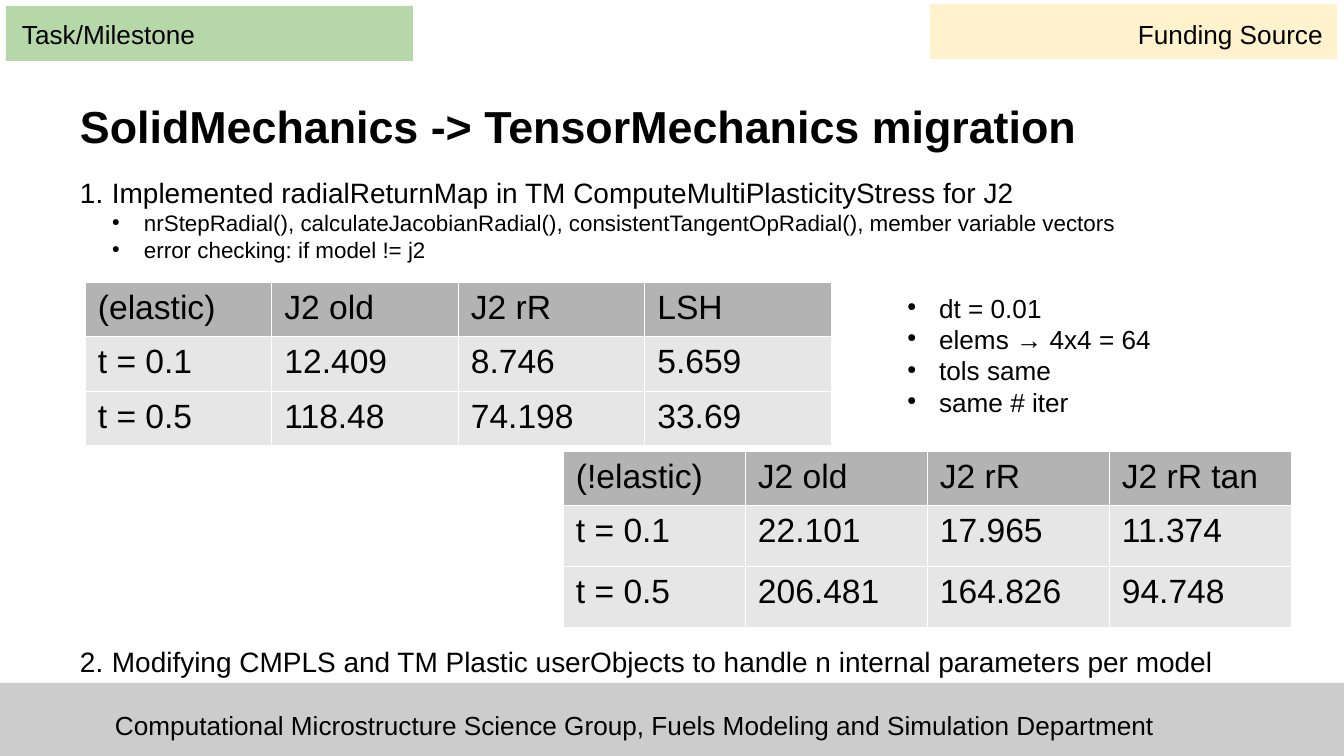
from dataclasses import dataclass

from lxml.etree import SubElement
from pptx import Presentation
from pptx.dml.color import RGBColor
from pptx.enum.shapes import MSO_SHAPE as SHAPE
from pptx.enum.text import MSO_ANCHOR as ANCHOR, PP_ALIGN as ALIGN
from pptx.oxml.ns import qn
from pptx.util import Pt

PX = 914400 / 134.4  # EMU in one px
INSET, HALF_INSET, INDENT = 13, 7, 32


@dataclass(frozen=True)
class Theme:
    font: str = "Arial"
    ink: str = "000000"
    bar: str = "CCCCCC"
    task: str = "B6D7A8"
    funding: str = "FFF2CC"
    head: str = "B3B3B3"
    cell: str = "E6E6E6"
    rule: str = "FFFFFF"
    title: int = 24
    table: int = 18
    item: int = 15
    label: int = 14
    detail: int = 12


T = Theme()


def emu(px):
    return round(px * PX)


def set_attrs(obj, attrs):
    for name, value in attrs.items():
        setattr(obj, name, value)


def add_rect(slide, box, fill):
    s = slide.shapes.add_shape(SHAPE.RECTANGLE, *map(emu, box))
    s.shadow.inherit = False
    s.fill.solid()
    s.fill.fore_color.rgb = RGBColor.from_string(fill)
    s.line.fill.background()


def add_frame(slide, box, anchor=ANCHOR.TOP, pad=INSET):
    tf = slide.shapes.add_textbox(*map(emu, box)).text_frame
    set_attrs(tf, dict(word_wrap=True, vertical_anchor=anchor,
                       margin_left=emu(INSET), margin_right=emu(INSET),
                       margin_top=emu(pad), margin_bottom=emu(pad)))
    return tf


def write(p, text, size, bold=False):
    r = p.add_run()
    r.text = text
    set_attrs(r.font, dict(name=T.font, size=Pt(size), bold=bold))
    r.font.color.rgb = RGBColor.from_string(T.ink)


def add_line(slide, box, text, size, anchor=ANCHOR.MIDDLE, align=ALIGN.LEFT, bold=False):
    p = add_frame(slide, box, anchor).paragraphs[0]
    p.alignment = align
    write(p, text, size, bold)


def add_list(tf, items):
    """Items are (text, size, level, number or None for a dot, space before)."""
    for i, (text, size, level, number, gap) in enumerate(items):
        p = tf.paragraphs[0] if i == 0 else tf.add_paragraph()
        set_attrs(p, dict(level=level, space_before=Pt(gap)))
        pPr = p._p.get_or_add_pPr()
        pPr.set("marL", str(emu(INDENT * (level + 1))))
        pPr.set("indent", str(-emu(INDENT)))
        color = SubElement(pPr, qn("a:buClr"))
        SubElement(color, qn("a:srgbClr"), val=T.ink)
        if number:
            SubElement(pPr, qn("a:buAutoNum"), type="arabicPeriod", startAt=str(number))
        else:
            SubElement(pPr, qn("a:buSzPct"), val="45000")
            SubElement(pPr, qn("a:buChar"), char="●")
        write(p, text, size)


def add_footer(slide, box):
    x, y, w, h = box
    add_rect(slide, box, T.bar)
    add_line(slide, (x + 103, y + 25, w - 110, 35),
             "Computational Microstructure Science Group, "
             "Fuels Modeling and Simulation Department", T.label)


def add_tag(slide, box, text, fill, text_dy, align):
    x, y, w, h = box
    add_rect(slide, box, fill)
    add_line(slide, (x + 3, y + text_dy, w - 4, h - 3), text, T.label, align=align)


def add_work_items(slide, box):
    add_list(add_frame(slide, box), [
        ("Implemented radialReturnMap in TM ComputeMultiPlasticityStress for J2",
         T.item, 0, 1, 0),
        ("nrStepRadial(), calculateJacobianRadial(), consistentTangentOpRadial(), "
         "member variable vectors", T.detail, 1, None, 0),
        ("error checking: if model != j2", T.detail, 1, None, 0),
        # The gap leaves room for the two tables
        ("Modifying CMPLS and TM Plastic userObjects to handle n internal "
         "parameters per model", T.item, 0, 2, 204),
    ])


def add_settings(slide, box):
    texts = ("dt = 0.01", "elems → 4x4 = 64", "tols same", "same # iter")
    add_list(add_frame(slide, box, pad=HALF_INSET),
             [(text, T.label, 0, None, 0) for text in texts])


def add_borders(cell):
    tcPr = cell._tc.get_or_add_tcPr()
    for i, side in enumerate(("lnL", "lnR", "lnT", "lnB")):
        ln = tcPr.makeelement(qn(f"a:{side}"), {"w": "762"})
        fill = SubElement(ln, qn("a:solidFill"))
        SubElement(fill, qn("a:srgbClr"), val=T.rule)
        tcPr.insert(i, ln)


def add_timings(slide, box, head_h, rows):
    x, y, w, h = box
    table = slide.shapes.add_table(len(rows), len(rows[0]), *map(emu, box)).table
    for col in table.columns:
        col.width = emu(w / len(rows[0]))
    for i, values in enumerate(rows):
        table.rows[i].height = emu(head_h if i == 0 else (h - head_h) / (len(rows) - 1))
        for j, text in enumerate(values):
            cell = table.cell(i, j)
            set_attrs(cell, dict(margin_left=emu(INSET), margin_right=emu(INSET),
                                 margin_top=emu(HALF_INSET), margin_bottom=emu(HALF_INSET)))
            cell.fill.solid()
            cell.fill.fore_color.rgb = RGBColor.from_string(T.cell if i else T.head)
            add_borders(cell)
            write(cell.text_frame.paragraphs[0], text, T.table)


def main():
    prs = Presentation()
    set_attrs(prs, dict(slide_width=emu(1344), slide_height=emu(756)))
    slide = prs.slides.add_slide(prs.slide_layouts[6])

    # Footer and corner tags
    add_footer(slide, (-1, 683, 1345, 74))
    add_tag(slide, (6, 6, 407, 55), "Task/Milestone", T.task, 2, ALIGN.LEFT)
    add_tag(slide, (930, 4, 407, 55), "Funding Source", T.funding, 4, ALIGN.RIGHT)

    # Title and numbered work
    add_line(slide, (67, 95, 1210, 71), "SolidMechanics -> TensorMechanics migration",
             T.title, ANCHOR.BOTTOM, bold=True)
    add_work_items(slide, (67, 163, 1210, 516))

    # Timing tables with the run settings beside them
    add_timings(slide, (563, 451, 728, 173), 51, (
        ("(!elastic)", "J2 old", "J2 rR", "J2 rR tan"),
        ("t = 0.1", "22.101", "17.965", "11.374"),
        ("t = 0.5", "206.481", "164.826", "94.748")))
    add_timings(slide, (85, 282, 746, 162), 54, (
        ("(elastic)", "J2 old", "J2 rR", "LSH"),
        ("t = 0.1", "12.409", "8.746", "5.659"),
        ("t = 0.5", "118.48", "74.198", "33.69")))
    add_settings(slide, (894, 285, 282, 130))

    prs.save("out.pptx")


if __name__ == "__main__":
    main()
